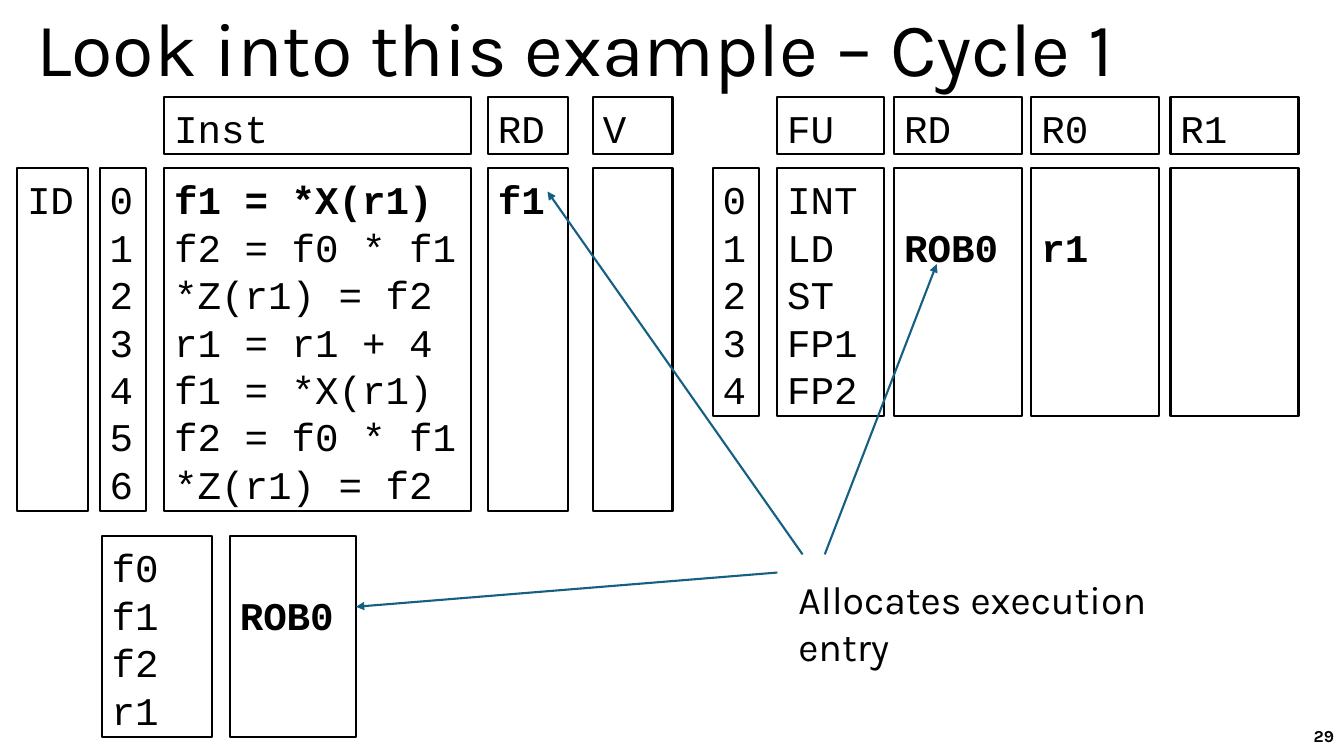
from pptx import Presentation
from pptx.dml.color import RGBColor
from pptx.enum.shapes import MSO_CONNECTOR, MSO_SHAPE
from pptx.enum.text import MSO_ANCHOR, PP_ALIGN
from pptx.oxml.ns import qn
from pptx.util import Inches, Pt
from lxml.etree import SubElement

BLACK = RGBColor(0x00, 0x00, 0x00)
WHITE = RGBColor(0xFF, 0xFF, 0xFF)
BLUE = RGBColor(0x15, 0x60, 0x82)
CODE_FONT = "Courier New"
TEXT_FONT = "Karla"

HEADER_TOP, HEADER_HEIGHT = 0.96, 0.57
TABLE_TOP = 1.67
ROB_HEIGHT, UNIT_HEIGHT = 3.4, 2.46
REGISTER_TOP, REGISTER_HEIGHT = 5.32, 1.99
ROW_HEIGHT = 0.47
TOP_INSET = 0.07

INSTRUCTIONS = ["f1 = *X(r1)", "f2 = f0 * f1", "*Z(r1) = f2", "r1 = r1 + 4",
                "f1 = *X(r1)", "f2 = f0 * f1", "*Z(r1) = f2"]
UNITS = ["INT", "LD", "ST", "FP1", "FP2"]
REGISTERS = ["f0", "f1", "f2", "r1"]

# Header, left, width, entries, row of the first entry, bold row
ROB_COLUMNS = [
    (None, 0.17, 0.7, ["ID"], 0, None),
    (None, 0.99, 0.46, [str(i) for i in range(len(INSTRUCTIONS))], 0, None),
    ("Inst", 1.63, 3.04, INSTRUCTIONS, 0, 0),
    ("RD", 4.84, 0.79, ["f1"], 0, 0),
    ("V", 5.88, 0.79, [], 0, None),
]
UNIT_COLUMNS = [
    (None, 7.07, 0.46, [str(i) for i in range(len(UNITS))], 0, None),
    ("FU", 7.71, 1.06, UNITS, 0, None),
    ("RD", 8.87, 1.27, ["ROB0"], 1, 1),
    ("R0", 10.23, 1.27, ["r1"], 1, 1),
    ("R1", 11.61, 1.27, [], 0, None),
]
REGISTER_COLUMNS = [
    (None, 1.01, 1.09, REGISTERS, 0, None),
    (None, 2.28, 1.25, ["ROB0"], 1, 1),
]
ALLOCATIONS = [
    ((7.71, 5.68), (3.53, 6.02)),
    ((8.18, 5.5), (9.29, 2.62)),
    ((7.96, 5.5), (5.43, 1.9)),
]


def add_run(paragraph, text, size, font_name, bold=False):
    run = paragraph.add_run()
    run.text = text
    run.font.size = Pt(size)
    run.font.name = font_name
    run.font.bold = bold
    run.font.color.rgb = BLACK


def add_cell(slide, left, top, width, height, entries, first_row=0, bold_row=None):
    cell = slide.shapes.add_shape(MSO_SHAPE.RECTANGLE, Inches(left), Inches(top),
                                  Inches(width), Inches(height))
    cell.shadow.inherit = False
    cell.fill.solid()
    cell.fill.fore_color.rgb = WHITE
    cell.line.color.rgb = BLACK
    cell.line.width = Pt(1.5)
    frame = cell.text_frame
    frame.word_wrap = True
    frame.vertical_anchor = MSO_ANCHOR.TOP
    frame.margin_top = Inches(TOP_INSET + first_row * ROW_HEIGHT)
    frame.margin_bottom = 0
    for row, entry in enumerate(entries, first_row):
        paragraph = frame.paragraphs[0] if row == first_row else frame.add_paragraph()
        paragraph.alignment = PP_ALIGN.LEFT
        paragraph.line_spacing = Inches(ROW_HEIGHT)
        add_run(paragraph, entry, 28, CODE_FONT, row == bold_row)


def add_columns(slide, columns, top, height):
    for header, left, width, entries, first_row, bold_row in columns:
        add_cell(slide, left, top, width, height, entries, first_row, bold_row)
        if header:
            add_cell(slide, left, HEADER_TOP, width, HEADER_HEIGHT, [header])


def add_arrow(slide, start, end):
    arrow = slide.shapes.add_connector(MSO_CONNECTOR.STRAIGHT,
                                       *(Inches(v) for v in start + end))
    arrow.line.color.rgb = BLUE
    arrow.line.width = Pt(1.5)
    SubElement(arrow.line._get_or_add_ln(), qn("a:tailEnd"), type="triangle")
    SubElement(arrow._element.spPr, qn("a:effectLst"))


def add_label(slide, left, top, width, height, text, size, bold=False,
              alignment=PP_ALIGN.LEFT, anchor=MSO_ANCHOR.TOP):
    label = slide.shapes.add_textbox(Inches(left), Inches(top), Inches(width), Inches(height))
    frame = label.text_frame
    frame.word_wrap = True
    frame.vertical_anchor = anchor
    frame.paragraphs[0].alignment = alignment
    add_run(frame.paragraphs[0], text, size, TEXT_FONT, bold)


def set_title(slide, text):
    title = slide.shapes.title
    title.left, title.top = Inches(0.26), Inches(-0.06)
    title.width, title.height = Inches(11.5), Inches(1.16)
    title.text_frame.vertical_anchor = MSO_ANCHOR.MIDDLE
    paragraph = title.text_frame.paragraphs[0]
    paragraph.alignment = PP_ALIGN.LEFT
    paragraph.line_spacing = 0.9
    add_run(paragraph, text, 54, TEXT_FONT)


def main():
    deck = Presentation()
    deck.slide_width, deck.slide_height = Inches(13.33), Inches(7.5)
    slide = deck.slides.add_slide(deck.slide_layouts[5])

    set_title(slide, "Look into this example – Cycle 1")
    add_label(slide, 10.33, 7.1, 3, 0.4, "29", 12, True, PP_ALIGN.RIGHT, MSO_ANCHOR.MIDDLE)

    # Reorder buffer, functional units and register map
    add_columns(slide, ROB_COLUMNS, TABLE_TOP, ROB_HEIGHT)
    add_columns(slide, UNIT_COLUMNS, TABLE_TOP, UNIT_HEIGHT)
    add_columns(slide, REGISTER_COLUMNS, REGISTER_TOP, REGISTER_HEIGHT)

    # Entries allocated in this cycle
    for start, end in ALLOCATIONS:
        add_arrow(slide, start, end)
    add_label(slide, 7.82, 5.66, 4.46, 0.57, "Allocates execution entry", 28)

    deck.save("out.pptx")


if __name__ == "__main__":
    main()
